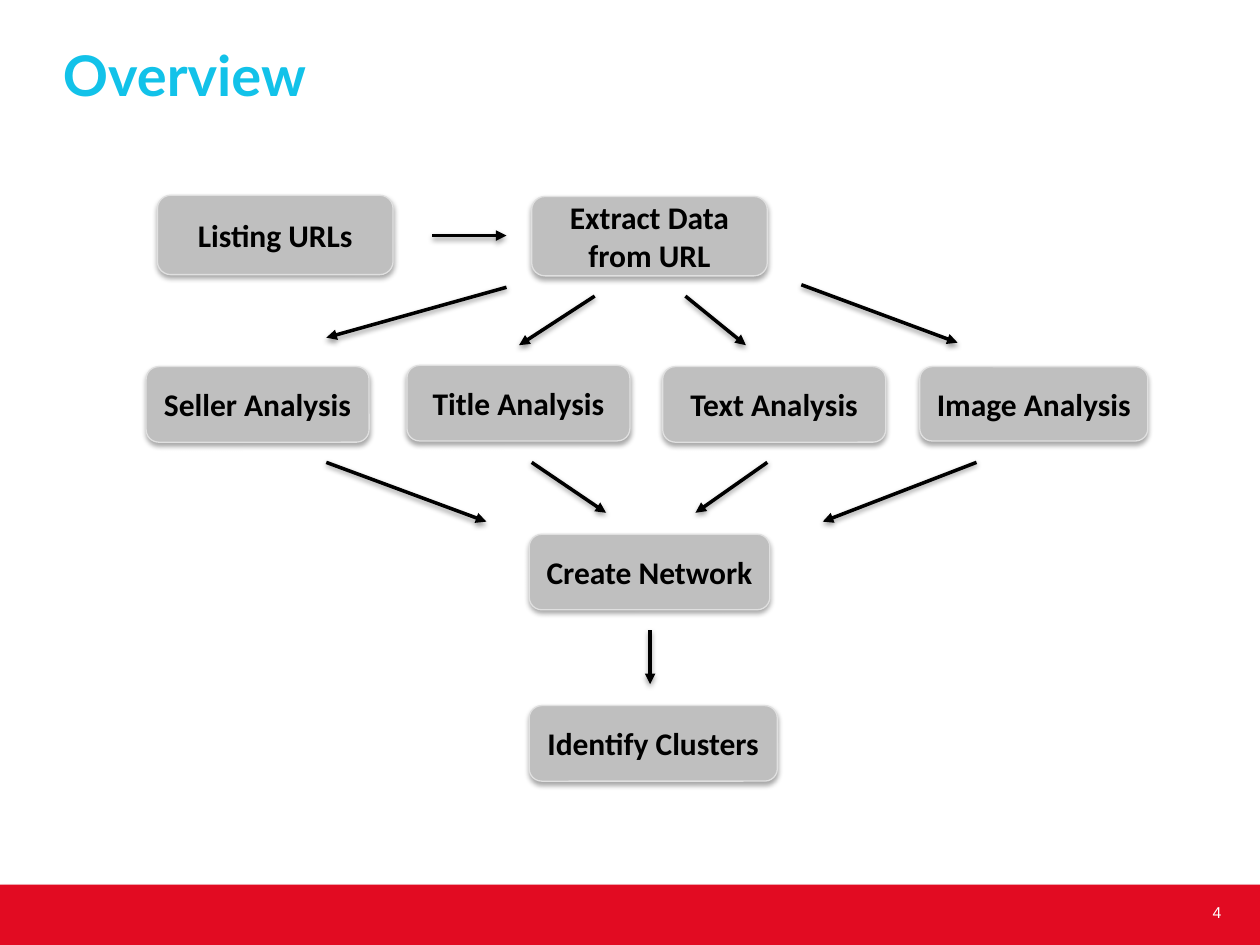
import pptx
import pptx.util
import pptx.dml.color
import pptx.enum.shapes
import pptx.enum.text
import pptx.oxml
import pptx.oxml.ns

Inches, Pt = pptx.util.Inches, pptx.util.Pt
SHAPE = pptx.enum.shapes.MSO_SHAPE
ALIGN = pptx.enum.text.PP_ALIGN

COLORS = {
    "title": "12C2E9",
    "band": "E20B22",
    "box": "BFBFBF",
    "edge": "E0E0E0",
    "ink": "000000",
    "white": "FFFFFF",
}

ANALYSES = [
    ("Seller Analysis", 1.16, 2.91, 1.77, 0.6),
    ("Title Analysis", 3.23, 2.9, 1.77, 0.6),
    ("Text Analysis", 5.26, 2.91, 1.77, 0.6),
    ("Image Analysis", 7.3, 2.91, 1.81, 0.59),
]
STEPS = [
    ("Listing URLs", 1.25, 1.55, 1.87, 0.63),
    ("Extract Data from URL", 4.22, 1.56, 1.87, 0.63),
    *ANALYSES,
    ("Create Network", 4.2, 4.24, 1.91, 0.6),
    ("Identify Clusters", 4.2, 5.6, 1.97, 0.6),
]
ARROWS = [
    (3.43, 1.87, 4.02, 1.87),
    (4.02, 2.28, 2.59, 2.68),
    (4.72, 2.35, 4.12, 2.74),
    (5.44, 2.35, 5.92, 2.74),
    (6.36, 2.26, 7.6, 2.72),
    (2.59, 3.67, 3.86, 4.14),
    (4.22, 3.67, 4.81, 4.07),
    (6.09, 3.67, 5.52, 4.07),
    (7.75, 3.67, 6.53, 4.14),
    (5.16, 5, 5.16, 5.43),
]


class FlowPage:
    """Holds the style and the current slide, and draws each kind of element."""

    def __init__(self, deck):
        self.page = deck.slides.add_slide(deck.slide_layouts[6])

    def color(self, name):
        return pptx.dml.color.RGBColor.from_string(COLORS[name])

    def shadow(self, item, distance, opacity):
        item._element.spPr.append(pptx.oxml.parse_xml(
            f'<a:effectLst {pptx.oxml.ns.nsdecls("a")}>'
            f'<a:outerShdw blurRad="{Pt(3.1)}" dist="{Pt(distance)}" dir="5400000" rotWithShape="0">'
            f'<a:srgbClr val="{COLORS["ink"]}"><a:alpha val="{opacity * 1000}"/></a:srgbClr>'
            '</a:outerShdw></a:effectLst>'))

    def add_text(self, box, text, font, size, color, align, bold=False):
        frame = box.text_frame
        frame.word_wrap = True
        frame.vertical_anchor = pptx.enum.text.MSO_ANCHOR.MIDDLE
        para = frame.paragraphs[0]
        para.alignment = align
        span = para.add_run()
        span.text = text
        span.font.name = font
        span.font.size = Pt(size)
        span.font.bold = bold
        span.font.color.rgb = self.color(color)

    def shape(self, kind, place, fill, edge=None):
        box = self.page.shapes.add_shape(kind, *map(Inches, place))
        box.fill.solid()
        box.fill.fore_color.rgb = self.color(fill)
        if edge:
            box.line.color.rgb = self.color(edge)
            box.line.width = Pt(0.75)
        else:
            box.line.fill.background()
        self.shadow(box, 1.8, 35)
        return box

    def step(self, text, *place):
        box = self.shape(SHAPE.ROUNDED_RECTANGLE, place, "box", "edge")
        self.add_text(box, text, "Calibri", 18, "ink", ALIGN.CENTER, bold=True)

    def label(self, place, margins, *style, **options):
        box = self.page.shapes.add_textbox(*map(Inches, place))
        frame = box.text_frame
        frame.margin_left, frame.margin_right = map(Inches, margins)
        self.add_text(box, *style, **options)

    def arrow(self, *ends):
        line = self.page.shapes.add_connector(
            pptx.enum.shapes.MSO_CONNECTOR.STRAIGHT, *map(Inches, ends))
        line.line.color.rgb = self.color("ink")
        line.line.width = Pt(2)
        line.line._get_or_add_ln().append(pptx.oxml.parse_xml(
            f'<a:tailEnd {pptx.oxml.ns.nsdecls("a")} type="triangle"/>'))
        self.shadow(line, 1.6, 38)


def main():
    deck = pptx.Presentation()
    deck.slide_width, deck.slide_height = Inches(10), Inches(7.5)
    flow = FlowPage(deck)
    flow.shape(SHAPE.RECTANGLE, (0, 7.02, 10, 0.48), "band")
    flow.label((9.35, 6.94, 0.75, 0.6), (0.1, 0.23), "4", "Arial", 9, "white", ALIGN.CENTER)
    flow.label((0.5, 0.32, 9, 0.53), (0, 0.1), "Overview", "Lato", 32, "title",
               ALIGN.LEFT, bold=True)
    for step in STEPS:
        flow.step(*step)
    for arrow in ARROWS:
        flow.arrow(*arrow)
    deck.save("out.pptx")


if __name__ == "__main__":
    main()
